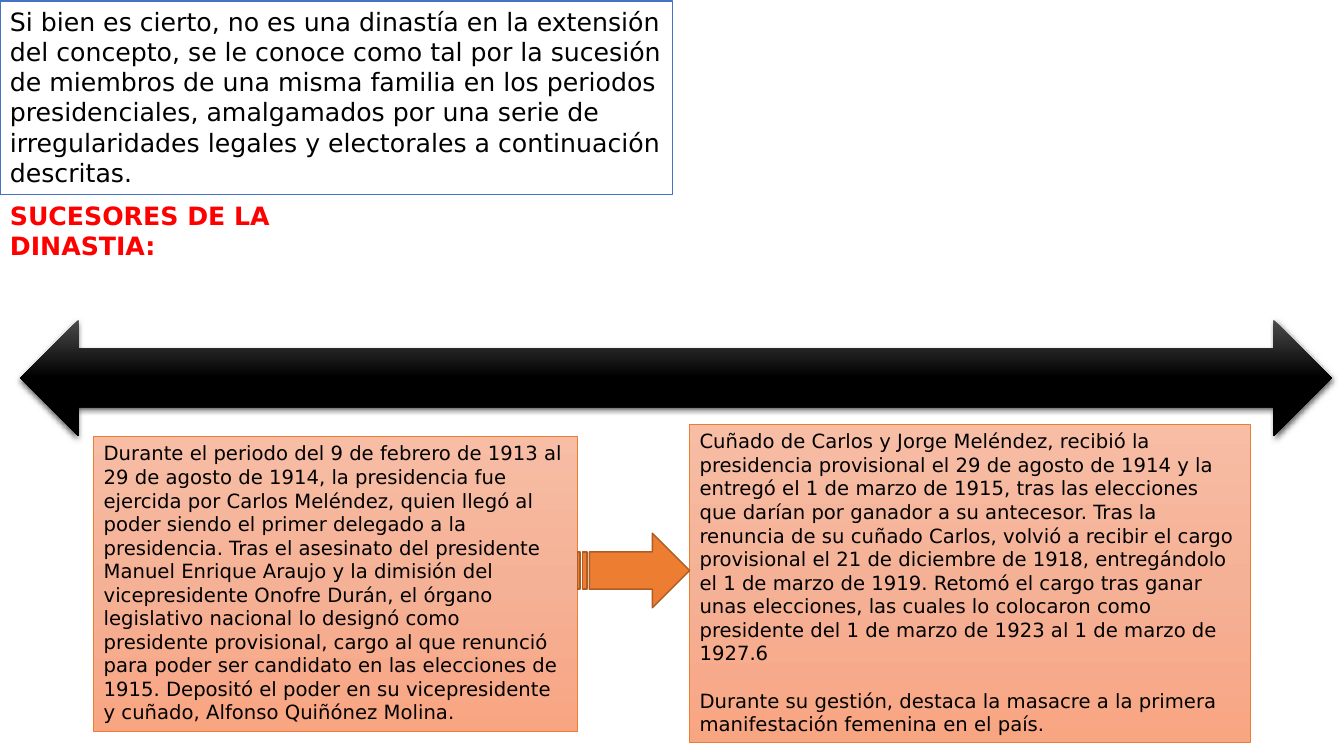
from lxml.etree import SubElement
from pptx import Presentation
from pptx.dml.color import RGBColor
from pptx.enum.shapes import MSO_SHAPE as Shape
from pptx.enum.text import MSO_ANCHOR, MSO_AUTO_SIZE, PP_ALIGN
from pptx.oxml.ns import qn
from pptx.util import Inches, Pt

FONT = "DejaVu Sans"
COLORS = {
    "black": "000000", "white": "FFFFFF", "red": "FF0000",
    "blue": "4472C4", "orange": "ED7D31", "brown": "AF5C24",
}
TIMELINE_STOPS = [(0, "4B4B4B"), (50, "000000"), (100, "000000")]
CARD_STOPS = [(0, "F7BDA5"), (50, "F5B196"), (100, "F8A582")]

INTRO = (
    "Si bien es cierto, no es una dinastía en la extensión del concepto, se le conoce como tal "
    "por la sucesión de miembros de una misma familia en los periodos presidenciales, "
    "amalgamados por una serie de irregularidades legales y electorales a continuación descritas."
)
HEADING = "SUCESORES DE LA DINASTIA:"
CARDS = [
    ((0.93, 4.33, 4.8, 2.93), [
        "Durante el periodo del 9 de febrero de 1913 al 29 de agosto de 1914, la presidencia fue "
        "ejercida por Carlos Meléndez, quien llegó al poder siendo el primer delegado a la "
        "presidencia. Tras el asesinato del presidente Manuel Enrique Araujo y la dimisión del "
        "vicepresidente Onofre Durán, el órgano legislativo nacional lo designó como presidente "
        "provisional, cargo al que renunció para poder ser candidato en las elecciones de 1915. "
        "Depositó el poder en su vicepresidente y cuñado, Alfonso Quiñónez Molina.",
    ]),
    ((6.84, 4.21, 5.56, 3.16), [
        "Cuñado de Carlos y Jorge Meléndez, recibió la presidencia provisional el 29 de agosto de "
        "1914 y la entregó el 1 de marzo de 1915, tras las elecciones que darían por ganador a su "
        "antecesor. Tras la renuncia de su cuñado Carlos, volvió a recibir el cargo provisional el "
        "21 de diciembre de 1918, entregándolo el 1 de marzo de 1919. Retomó el cargo tras ganar "
        "unas elecciones, las cuales lo colocaron como presidente del 1 de marzo de 1923 al 1 de "
        "marzo de 1927.6",
        "Durante su gestión, destaca la masacre a la primera manifestación femenina en el país.",
    ]),
]


def color(name):
    return RGBColor.from_string(COLORS[name])


def add_shape(page, kind, place, fill=None, line=None, width=1):
    shape = page.shapes.add_shape(kind, *map(Inches, place))
    shape.shadow.inherit = False
    if fill:
        shape.fill.solid()
        shape.fill.fore_color.rgb = color(fill)
    if line:
        shape.line.color.rgb = color(line)
        shape.line.width = Pt(width)
    else:
        shape.line.fill.background()
    return shape


def set_gradient(shape, stops):
    shape.fill.gradient()
    shape.fill.gradient_angle = 270
    stop_list = shape.element.spPr.find(qn("a:gradFill")).find(qn("a:gsLst"))
    for stop in list(stop_list):
        stop_list.remove(stop)
    for position, value in stops:
        stop = SubElement(stop_list, qn("a:gs"), pos=str(position * 1000))
        SubElement(stop, qn("a:srgbClr"), val=value)


def add_shadow(shape, opacity, blur, distance):
    effects = shape.element.spPr.find(qn("a:effectLst"))
    shadow = SubElement(
        effects, qn("a:outerShdw"), blurRad=str(Pt(blur)), dist=str(Pt(distance)),
        dir="5400000", algn="ctr", rotWithShape="0",
    )
    tint = SubElement(shadow, qn("a:srgbClr"), val=COLORS["black"])
    SubElement(tint, qn("a:alpha"), val=str(opacity * 1000))


def write(box, texts, size, ink="black", bold=False, gap=0):
    frame = box.text_frame
    frame.word_wrap = True
    frame.auto_size = MSO_AUTO_SIZE.SHAPE_TO_FIT_TEXT
    frame.vertical_anchor = MSO_ANCHOR.TOP
    for index, text in enumerate(texts):
        para = frame.add_paragraph() if index else frame.paragraphs[0]
        para.alignment = PP_ALIGN.LEFT
        if index:
            para.space_before = Pt(gap)
        span = para.add_run()
        span.text = text
        span.font.name = FONT
        span.font.size = Pt(size)
        span.font.bold = bold
        span.font.color.rgb = color(ink)


def main():
    deck = Presentation()
    deck.slide_width, deck.slide_height = Inches(13.33), Inches(7.5)
    page = deck.slides.add_slide(deck.slide_layouts[6])

    timeline = add_shape(page, Shape.LEFT_RIGHT_ARROW, (0.2, 3.17, 13.01, 1.16))
    set_gradient(timeline, TIMELINE_STOPS)
    add_shadow(timeline, opacity=63, blur=4.5, distance=1.5)

    intro = add_shape(page, Shape.RECTANGLE, (0, 0.01, 6.67, 1.92), "white", "blue")
    write(intro, [INTRO], 18)

    heading = page.shapes.add_textbox(*map(Inches, (0, 1.94, 4.1, 0.71)))
    write(heading, [HEADING], 18, "red", bold=True)

    for place, texts in CARDS:
        card = add_shape(page, Shape.RECTANGLE, place, line="orange", width=0.5)
        set_gradient(card, CARD_STOPS)
        write(card, texts, 14, gap=17)

    (left, _, width, _), (next_left, *_) = (place for place, _ in CARDS)
    start = left + width
    add_shape(page, Shape.STRIPED_RIGHT_ARROW, (start, 5.29, next_left - start, 0.74), "orange", "brown")

    deck.save("out.pptx")


if __name__ == "__main__":
    main()
